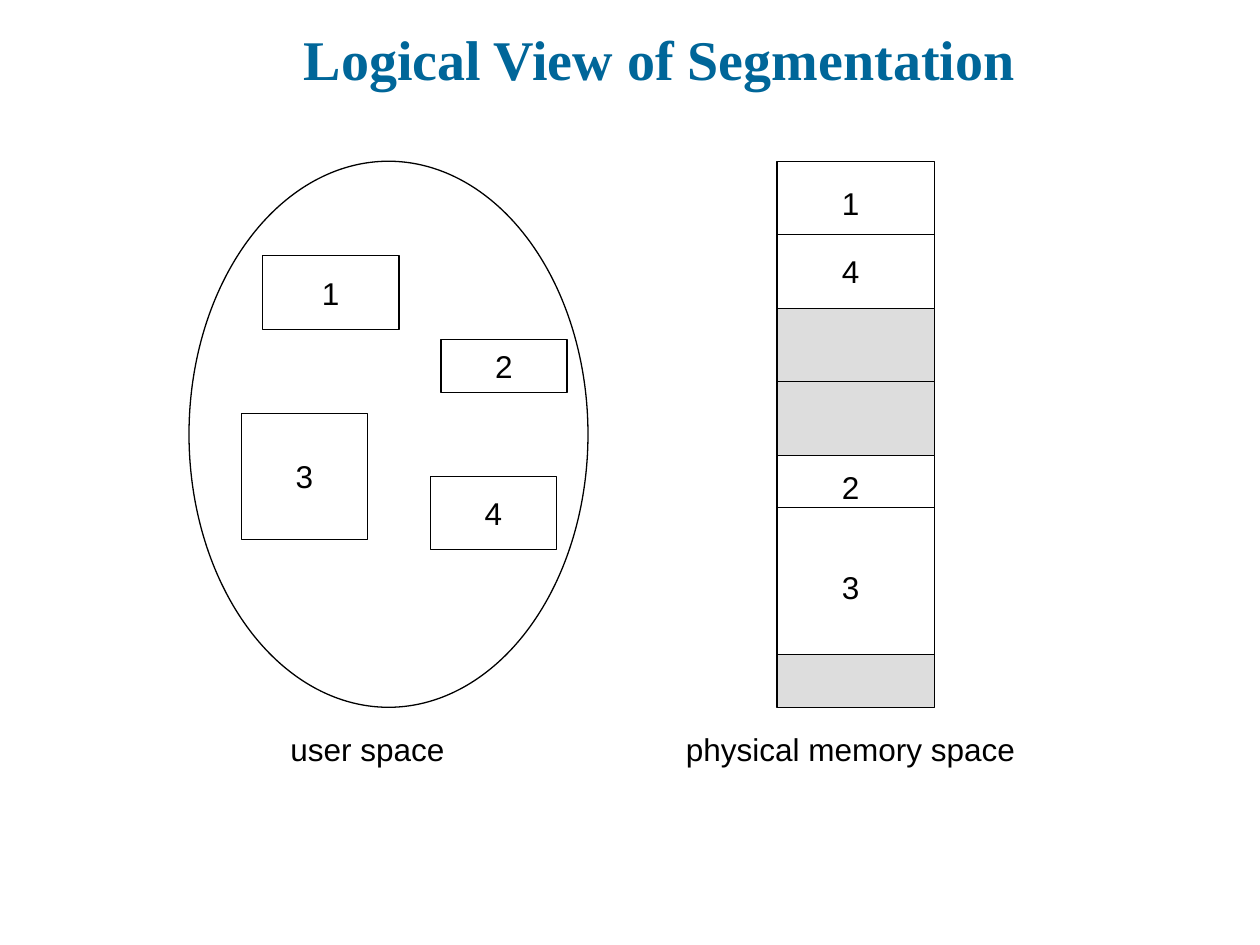
from pptx import Presentation
from pptx.dml.color import RGBColor
from pptx.enum.shapes import MSO_CONNECTOR, MSO_SHAPE
from pptx.enum.text import MSO_ANCHOR, MSO_AUTO_SIZE, PP_ALIGN
from pptx.oxml.ns import qn
from pptx.util import Inches, Pt
from lxml import etree

LINE = MSO_CONNECTOR.STRAIGHT
RECTANGLE, ELLIPSE = MSO_SHAPE.RECTANGLE, MSO_SHAPE.OVAL
MIDDLE, BOTTOM = MSO_ANCHOR.MIDDLE, MSO_ANCHOR.BOTTOM
FIT_SHAPE = MSO_AUTO_SIZE.SHAPE_TO_FIT_TEXT
CENTER = PP_ALIGN.CENTER

WHITE = RGBColor(0xFF, 0xFF, 0xFF)
BLACK = RGBColor(0x00, 0x00, 0x00)
GRAY = RGBColor(0xDD, 0xDD, 0xDD)
BLUE = RGBColor(0x00, 0x66, 0x99)

CELL = Inches(1) / 12
DIAGRAM_TOP = Inches(1.28)
SPACE_ROWS = 52
MEMORY_COLUMN, MEMORY_WIDTH = 74, 15
MEMORY_CENTER = 81
CAPTION_ROW = 56

TITLE_FONT = {"name": "Times New Roman", "size": Pt(32), "bold": True}
LABEL_FONT = {"name": "Arial", "size": Pt(18), "bold": False}

# number, column, row, width, height
SEGMENTS = [
    ("1", 25, 9, 13, 7),
    ("3", 23, 24, 12, 12),
    ("2", 42, 17, 12, 5),
    ("4", 41, 30, 12, 7),
]
# height, fill, row of the dividing line inside the block
MEMORY_BLOCKS = [(14, WHITE, 7), (14, GRAY, 7), (19, WHITE, 5), (5, GRAY, None)]
# number, row of its centre
MEMORY_LABELS = [("1", 4), ("4", 10.4), ("2", 31), ("3", 40.5)]
# text, column of its centre, width
CAPTIONS = [("user space", 35, 18), ("physical memory space", MEMORY_CENTER, 34)]


class Diagram:
    """Draws on one slide, in cells counted from the top of the diagram."""

    def __init__(self, slide):
        self.slide = slide
        self.shapes = slide.shapes

    def box(self, column, row, width, height):
        return (round(column * CELL), round(DIAGRAM_TOP + row * CELL),
                round(width * CELL), round(height * CELL))

    def set_text(self, text_frame, text, font, color, anchor=MIDDLE, wrap=False):
        text_frame.text = text
        text_frame.word_wrap = wrap
        text_frame.vertical_anchor = anchor
        paragraph = text_frame.paragraphs[0]
        paragraph.alignment = CENTER
        for name, value in font.items():
            setattr(paragraph.font, name, value)
        paragraph.font.color.rgb = color

    def outline(self, shape):
        shape.line.color.rgb = BLACK
        shape.line.width = Pt(0.75)

    def title(self, text):
        title = self.slide.shapes.title
        place = {"left": 0.97, "top": 0.15, "width": 8.53, "height": 0.63}
        for name, value in place.items():
            setattr(title, name, Inches(value))
        self.set_text(title.text_frame, text, TITLE_FONT, BLUE, BOTTOM, True)

    def shape(self, kind, column, row, width, height, fill=WHITE, text=""):
        shape = self.shapes.add_shape(kind, *self.box(column, row, width, height))
        shape.shadow.inherit = False
        shape.fill.solid()
        shape.fill.fore_color.rgb = fill
        self.outline(shape)
        if text:
            self.set_text(shape.text_frame, text, LABEL_FONT, BLACK)

    def divider(self, column, row, width):
        left, top, length, _ = self.box(column, row, width, 0)
        line = self.shapes.add_connector(LINE, left, top, left + length, top)
        self.outline(line)
        etree.SubElement(line._element.spPr, qn("a:effectLst"))

    def label(self, text, center, row, width=4, height=4.8):
        place = self.box(center - width / 2, row - height / 2, width, height)
        label = self.shapes.add_textbox(*place)
        self.set_text(label.text_frame, text, LABEL_FONT, BLACK)
        label.text_frame.auto_size = FIT_SHAPE

    def user_space(self):
        self.shape(ELLIPSE, 18, 0, 38, SPACE_ROWS)
        for number, *place in SEGMENTS:
            self.shape(RECTANGLE, *place, text=number)

    def physical_memory(self):
        self.shapes = self.slide.shapes.add_group_shape().shapes
        row = 0
        for height, fill, split in MEMORY_BLOCKS:
            self.shape(RECTANGLE, MEMORY_COLUMN, row, MEMORY_WIDTH, height, fill)
            if split:
                self.divider(MEMORY_COLUMN, row + split, MEMORY_WIDTH)
            row += height
        for number, center_row in MEMORY_LABELS:
            self.label(number, MEMORY_CENTER, center_row)
        self.shapes = self.slide.shapes

    def captions(self):
        for text, center, width in CAPTIONS:
            self.label(text, center, CAPTION_ROW, width)


def main():
    presentation = Presentation()
    presentation.slide_width = Inches(10)
    presentation.slide_height = Inches(7.5)
    title_only = presentation.slide_layouts[5]
    diagram = Diagram(presentation.slides.add_slide(title_only))
    diagram.title("Logical View of Segmentation")
    diagram.user_space()
    diagram.physical_memory()
    diagram.captions()
    presentation.save("out.pptx")


if __name__ == "__main__":
    main()
